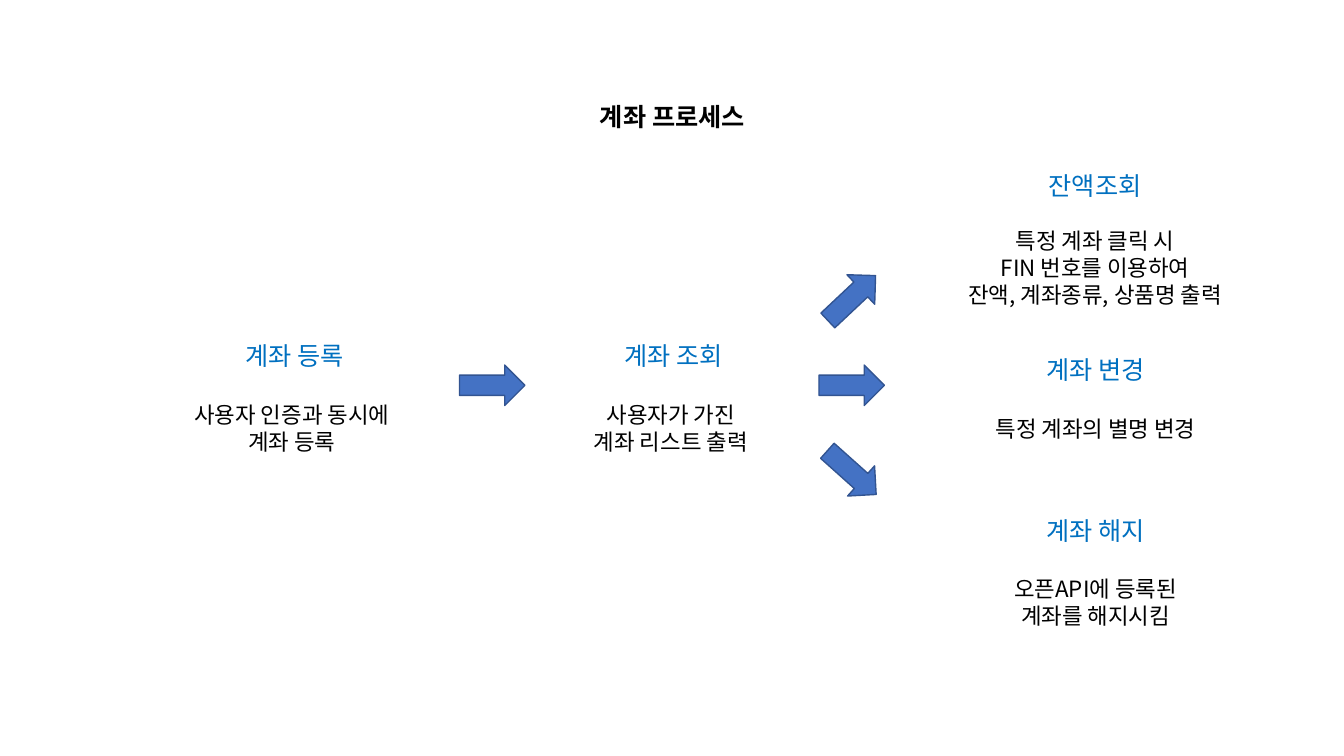
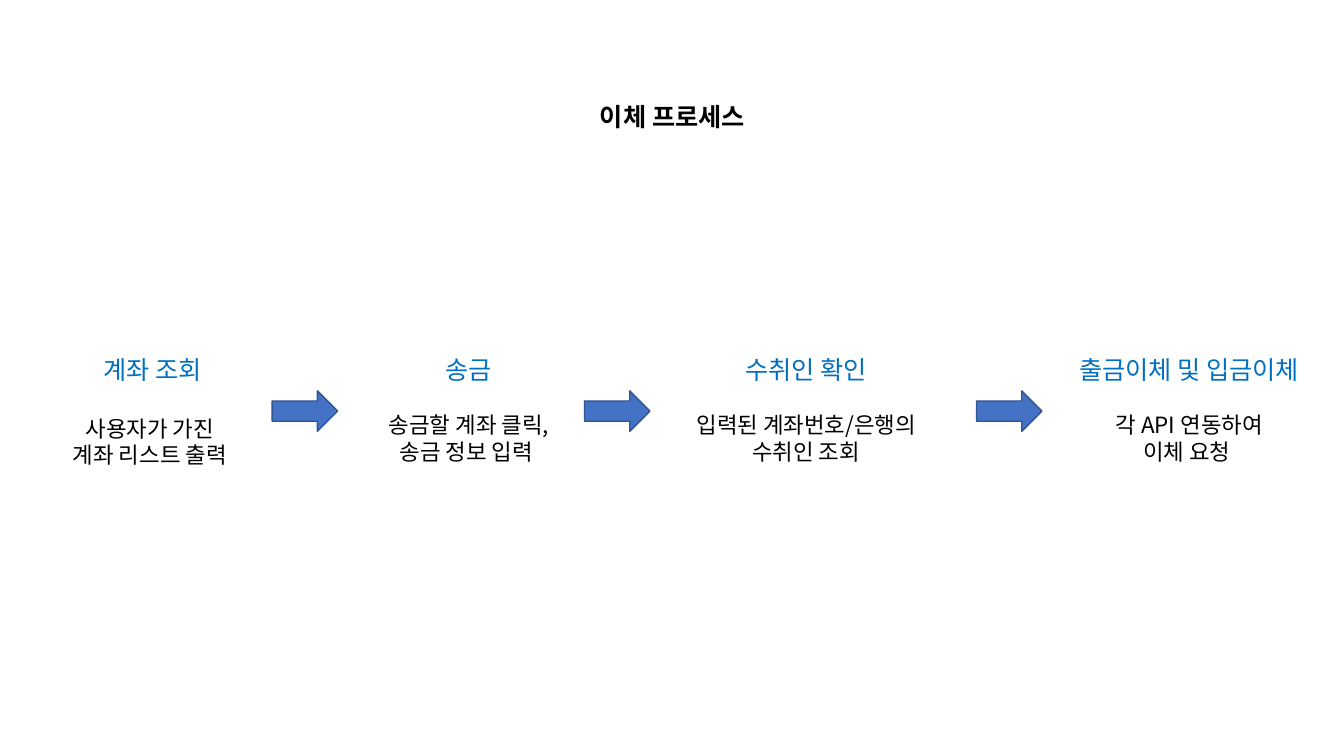
import pptx
import pptx.dml.color
import pptx.enum.shapes
import pptx.enum.text
import pptx.oxml
import pptx.oxml.ns
import pptx.util

Cm = pptx.util.Cm
Pt = pptx.util.Pt

COLORS = {"title": "000000", "heading": "0070C0", "body": "000000",
          "arrow": "4472C4", "outline": "325491"}
FONT = "Noto Sans CJK KR"
HEADING_SIZE, BODY_SIZE = 18, 16
LINE_FACTOR = 1.2
ARROW_WIDTH, ARROW_HEIGHT = 1.65, 1.02


def color(name):
    return pptx.dml.color.RGBColor.from_string(COLORS[name])


def write(paragraph, text, size=BODY_SIZE, tint="body", bold=False, gap=0):
    """Fill one centred paragraph; gap is the space below it in points."""
    paragraph.alignment = pptx.enum.text.PP_ALIGN.CENTER
    paragraph.line_spacing = Pt(size * LINE_FACTOR)
    paragraph.space_after = Pt(gap)
    run = paragraph.add_run()
    run.text = text
    run.font.name = FONT
    run.font.size = Pt(size)
    run.font.bold = bold
    run.font.color.rgb = color(tint)
    east_asian = pptx.oxml.parse_xml(
        f'<a:ea {pptx.oxml.ns.nsdecls("a")} typeface="{FONT}"/>')
    run.font._element.find(pptx.oxml.ns.qn("a:latin")).addnext(east_asian)


class Deck:
    def __init__(self):
        self.presentation = pptx.Presentation()
        self.presentation.slide_width = Cm(33.87)
        self.presentation.slide_height = Cm(19.05)
        self.slide = None

    def add_slide(self, title):
        self.slide = self.presentation.slides.add_slide(
            self.presentation.slide_layouts[6])
        frame = self.text_box(11, 2.44, 11.89, 1.02)
        write(frame.paragraphs[0], title, HEADING_SIZE, "title", bold=True)

    def text_box(self, left, top, width, height):
        shape = self.slide.shapes.add_textbox(
            Cm(left), Cm(top), Cm(width), Cm(height))
        frame = shape.text_frame
        frame.word_wrap = True
        frame.auto_size = pptx.enum.text.MSO_AUTO_SIZE.SHAPE_TO_FIT_TEXT
        return frame

    def step(self, left, top, width, heading, lines, gap_size=HEADING_SIZE):
        """Blue heading, a gap one line of gap_size high, then the body."""
        points = HEADING_SIZE + gap_size + BODY_SIZE * len(lines)
        height = Pt(points * LINE_FACTOR).cm + 0.25
        frame = self.text_box(left, top, width, height)
        write(frame.paragraphs[0], heading, HEADING_SIZE, "heading",
              gap=gap_size * LINE_FACTOR)
        for line in lines:
            write(frame.add_paragraph(), line)

    def arrow(self, left, top, rotation=0):
        shape = self.slide.shapes.add_shape(
            pptx.enum.shapes.MSO_SHAPE.RIGHT_ARROW,
            Cm(left), Cm(top), Cm(ARROW_WIDTH), Cm(ARROW_HEIGHT))
        shape.rotation = rotation
        shape.shadow.inherit = False
        shape.fill.solid()
        shape.fill.fore_color.rgb = color("arrow")
        shape.line.color.rgb = color("outline")
        shape.line.width = Pt(1)


deck = Deck()
list_accounts = ("계좌 조회", ["사용자가 가진 ", "계좌 리스트 출력 "])

# Account process: two steps, then three branches
deck.add_slide("계좌 프로세스")
deck.step(4.27, 8.46, 6.3, "계좌 등록", ["사용자 인증과 동시에 ", "계좌 등록 "])
deck.step(13.82, 8.46, 6.3, *list_accounts)
deck.step(23.55, 4.17, 8.1, "잔액조회",
          ["특정 계좌 클릭 시", "FIN 번호를 이용하여", "잔액, 계좌종류, 상품명 출력"],
          gap_size=BODY_SIZE)
deck.step(24.46, 8.8, 6.3, "계좌 변경", ["특정 계좌의 별명 변경"])
deck.step(24.46, 12.85, 6.3, "계좌 해지", ["오픈API에 등록된", "계좌를 해지시킴"])

arrow_top, branch_offset = 9.2, 2.2
deck.arrow(11.58, arrow_top)
for direction, rotation in ((-1, 316.8), (0, 0), (1, 41.8)):
    deck.arrow(20.64, arrow_top + direction * branch_offset, rotation)

# Transfer process: four steps in a row
deck.add_slide("이체 프로세스")
row_top = 8.8
deck.step(0.69, row_top, 6.3, *list_accounts)
for left, width, heading, lines in (
        (7.77, 8.1, "송금", ["송금할 계좌 클릭,", "송금 정보 입력 "]),
        (16.66, 7.32, "수취인 확인", ["입력된 계좌번호/은행의", "수취인 조회"]),
        (26.31, 7.32, "출금이체 및 입금이체", ["각 API 연동하여", "이체 요청 "])):
    deck.step(left, row_top, width, heading, lines, gap_size=BODY_SIZE)
for left in (6.86, 14.73, 24.61):
    deck.arrow(left, 9.85)

deck.presentation.save("out.pptx")
